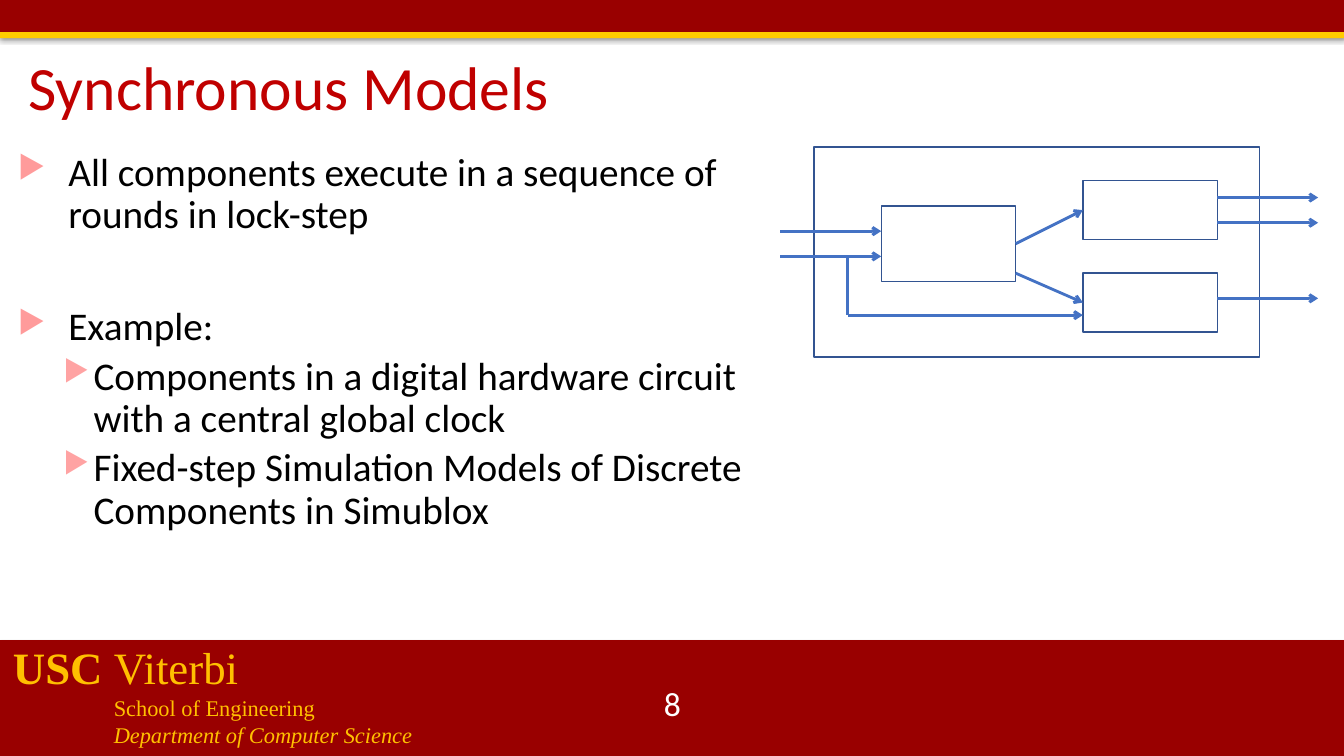
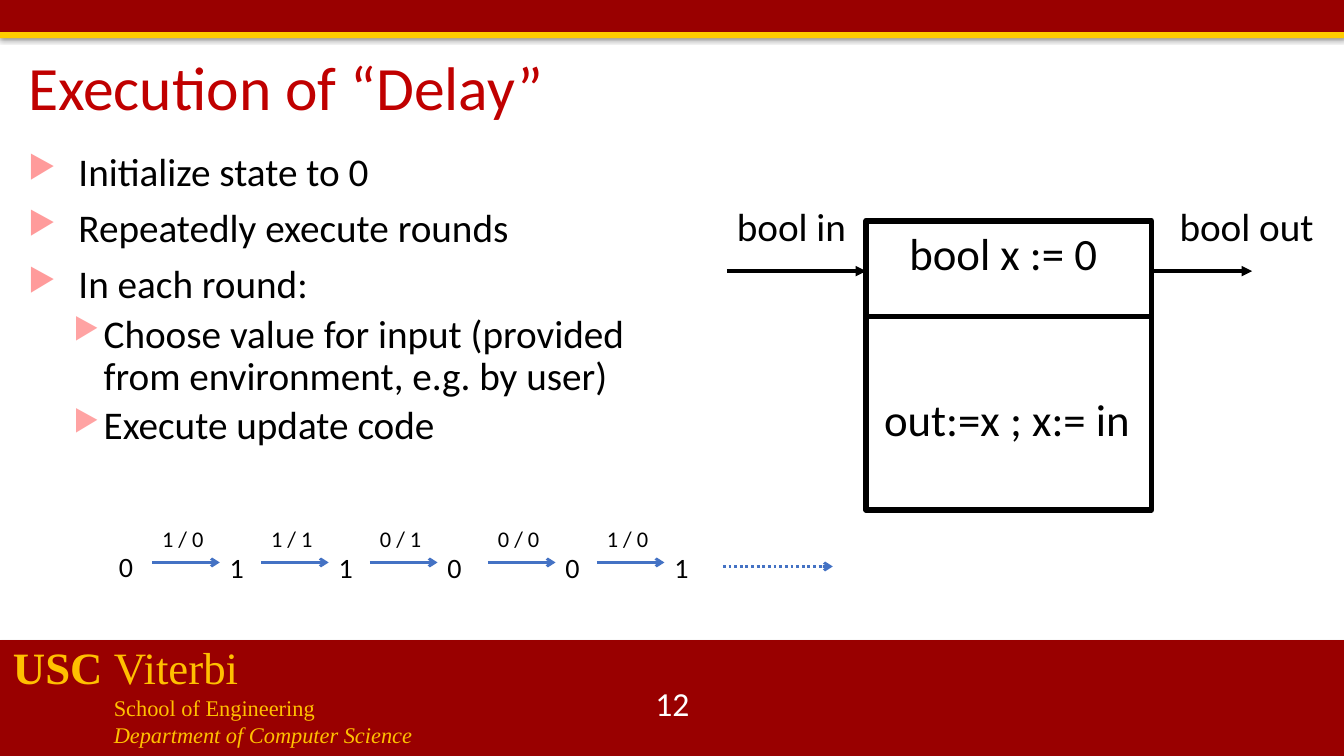
import pptx
import pptx.dml.color
import pptx.enum.dml
import pptx.enum.shapes
import pptx.enum.text
import pptx.oxml
import pptx.oxml.ns
import pptx.util
from lxml import etree

inch = pptx.util.Inches
point = pptx.util.Pt
rgb = pptx.dml.color.RGBColor.from_string
qn = pptx.oxml.ns.qn
ALIGN = pptx.enum.text.PP_ALIGN
ANCHOR = pptx.enum.text.MSO_ANCHOR
FIT = pptx.enum.text.MSO_AUTO_SIZE
RECTANGLE = pptx.enum.shapes.MSO_SHAPE.RECTANGLE
STRAIGHT = pptx.enum.shapes.MSO_CONNECTOR.STRAIGHT

WIDTH, HEIGHT = 13.33, 7.5
CARDINAL, YELLOW, GOLD, RED = "990000", "FFCC00", "FFC000", "C00000"
BLACK, WHITE, BLUE, DARK_BLUE = "000000", "FFFFFF", "4472C4", "325491"
BODY_FONT, SCHOOL_FONT = "Calibri", "Times New Roman"


def add_text(slide, place, lines, size, hue=BLACK, font=BODY_FONT, wrap=False):
    """Add a text box with one paragraph per line and return it."""
    box = slide.shapes.add_textbox(*map(inch, place))
    frame = box.text_frame
    frame.word_wrap = wrap
    frame.auto_size = FIT.NONE if wrap else FIT.SHAPE_TO_FIT_TEXT
    frame.text = "\n".join(lines)
    for paragraph in frame.paragraphs:
        for run in paragraph.runs:
            run.font.name, run.font.size = font, point(size)
            run.font.color.rgb = rgb(hue)
    return box


def add_line(slide, ends, hue=BLUE, weight=2, head="arrow", dash=None):
    """Connect x1, y1 to x2, y2; head is the arrowhead at the far end."""
    connector = slide.shapes.add_connector(STRAIGHT, *map(inch, ends))
    line = connector.line
    line.color.rgb, line.width = rgb(hue), point(weight)
    if dash:
        line.dash_style = dash
    if head:
        outline = connector._element.spPr.find(qn("a:ln"))
        etree.SubElement(outline, qn("a:tailEnd"), type=head)
    etree.SubElement(connector._element.spPr, qn("a:effectLst"))


deck = pptx.Presentation()
deck.slide_width, deck.slide_height = inch(WIDTH), inch(HEIGHT)
layout = deck.slide_layouts[5]

# Titles, slide numbers and bulleted text
BULLETS = [
    {"left": 0.5, "hang": -0.5, "before": 10, "hue": "FF9B9B", "share": 80},
    {"left": 0.75, "hang": -0.3, "before": 5, "hue": "FFA3A3", "share": 75},
]
contents = [
    ("Synchronous Models", "8", (0.08, 1.46, 7.49, 4.69), [
        (0, "All components execute in a sequence of rounds in lock-step"),
        (0, "Example:"),
        (1, "Components in a digital hardware circuit with a central global clock"),
        (1, "Fixed-step Simulation Models of Discrete Components in Simublox"),
    ]),
    ("Execution of “Delay”", "12", (0.18, 1.46, 6.75, 3.32), [
        (0, "Initialize state to 0"),
        (0, "Repeatedly execute rounds"),
        (0, "In each round:"),
        (1, "Choose value for input (provided from environment, e.g. by user)"),
        (1, "Execute update code"),
    ]),
]
for heading, number, body_place, points in contents:
    slide = deck.slides.add_slide(layout)
    title = slide.shapes.title
    title.left, title.top, title.width, title.height = map(inch, (0.18, 0.47, 11.94, 0.85))
    title.text_frame.text = heading
    title.text_frame.auto_size = FIT.NONE
    title.text_frame.vertical_anchor = ANCHOR.MIDDLE
    line = title.text_frame.paragraphs[0]
    line.alignment, line.line_spacing = ALIGN.LEFT, 0.9
    heading_font = line.runs[0].font
    heading_font.name, heading_font.size = BODY_FONT, point(44)
    heading_font.color.rgb = rgb(RED)

    page = add_text(slide, (5.17, 6.78, 3, 0.4), [number], 24, WHITE, wrap=True)
    page.text_frame.vertical_anchor = ANCHOR.MIDDLE
    page.text_frame.paragraphs[0].alignment = ALIGN.CENTER

    body = add_text(slide, body_place, [text for _, text in points], 28, wrap=True)
    for index, paragraph in enumerate(body.text_frame.paragraphs):
        level = points[index][0]
        bullet = BULLETS[level]
        paragraph.level, paragraph.line_spacing = level, 0.9
        paragraph.space_before = point(bullet["before"] if index else 0)
        properties = paragraph._p.get_or_add_pPr()
        properties.set("marL", str(inch(bullet["left"])))
        properties.set("indent", str(inch(bullet["hang"])))
        tint = etree.SubElement(properties, qn("a:buClr"))
        etree.SubElement(tint, qn("a:srgbClr"), val=bullet["hue"])
        etree.SubElement(properties, qn("a:buSzPct"), val=str(bullet["share"] * 1000))
        etree.SubElement(properties, qn("a:buChar"), char="▶")

models, delay = deck.slides
example = next(shape for shape in models.shapes if shape.has_text_frame
               and "Example:" in shape.text_frame.text).text_frame.paragraphs[1]
example.space_before = point(50)

# Bands and school name, kept on the layout
shared = []
bands = [
    ((0, 6.35, WIDTH, HEIGHT - 6.35), CARDINAL, 1.8, 35),
    ((0, 0, WIDTH, 0.33), CARDINAL, 1.8, 35),
    ((0, 0.32, WIDTH, 0.06), YELLOW, 1.6, 38),
]
for place, hue, distance, opacity in bands:
    band = models.shapes.add_shape(RECTANGLE, *map(inch, place))
    band.fill.solid()
    band.fill.fore_color.rgb = rgb(hue)
    band.line.fill.background()
    band.shadow.inherit = False
    effects = band._element.spPr.find(qn("a:effectLst"))
    shadow = etree.SubElement(effects, qn("a:outerShdw"), blurRad=str(point(3.1)),
                              dist=str(point(distance)), dir="5400000", rotWithShape="0")
    shade = etree.SubElement(shadow, qn("a:srgbClr"), val=BLACK)
    etree.SubElement(shade, qn("a:alpha"), val=str(opacity * 1000))
    shared.append(band)

school = add_text(models, (0.03, 6.3, 6.25, 1.18),
                  ["USC ", "School of Engineering", "Department of Computer Science"],
                  16, GOLD, SCHOOL_FONT, wrap=True)
university, faculty, department = school.text_frame.paragraphs
university.add_run().text = "Viterbi"
for run, bold in zip(university.runs, (True, False)):
    run.font.name, run.font.size, run.font.bold = SCHOOL_FONT, point(32), bold
    run.font.color.rgb = rgb(GOLD)
for paragraph in (faculty, department):
    paragraph._p.get_or_add_pPr().set("marL", str(inch(1)))
department.runs[0].font.italic = True
shared.append(school)
for identifier, part in enumerate(shared, start=101):
    part._element.nvSpPr.cNvPr.set("id", str(identifier))
    layout.shapes.element.append(part._element)

# Component diagram on a grid of columns and rows
LEFT, TOP, COLUMN, ROW = 7.74, 1.46, 1 / 3, 1 / 12
components = [(3, 7, 4, 9), (9, 4, 4, 7), (9, 15, 4, 7), (1, 0, 13.25, 25)]
outlines = [
    (models, (LEFT + x * COLUMN, TOP + y * ROW, w * COLUMN, h * ROW), DARK_BLUE, 1)
    for x, y, w, h in components
]
outlines.append((delay, (8.59, 2.19, 2.83, 2.87), BLACK, 4))
for slide, place, hue, weight in outlines:
    outline = slide.shapes.add_shape(RECTANGLE, *map(inch, place))
    outline.fill.background()
    outline.line.color.rgb, outline.line.width = rgb(hue), point(weight)
    outline.shadow.inherit = False

wires = [
    (7, 11.5, 9, 7.5), (7, 15, 9, 18.5),
    (13, 6, 16, 6), (13, 9, 16, 9), (13, 18, 16, 18),
    (0, 10, 3, 10), (0, 13, 3, 13), (2, 20, 9, 20), (2, 13, 2, 20),
]
for x1, y1, x2, y2 in wires:
    add_line(models, (LEFT + x1 * COLUMN, TOP + y1 * ROW, LEFT + x2 * COLUMN, TOP + y2 * ROW),
             head=None if x1 == x2 else "arrow")

# Delay component
for start, end in ((7.21, 8.59), (11.42, 12.42)):
    add_line(delay, (start, 2.69, end, 2.69), BLACK, 2.5, "triangle")
add_line(delay, (8.59, 3.14, 11.42, 3.14), BLACK, 4, None)
for place, text, size in [
    ((7.21, 1.96, 1.3, 0.57), "bool in", 28),
    ((11.6, 1.96, 1.55, 0.57), "bool out", 28),
    ((8.92, 2.19, 2.09, 0.64), "bool x := 0", 32),
    ((8.67, 3.84, 2.67, 0.64), "out:=x ; x:= in", 32),
]:
    add_text(delay, place, [text], size)

# Execution trace: input / output above each arrow, next state after it
STEP, ARROW, TRACE_TOP = 1.08, 0.67, 5.16
add_text(delay, (1.08, 5.4, 0.34, 0.44), ["0"], 20)
rounds = [("1 / 0", "1"), ("1 / 1", "1"), ("0 / 1", "0"), ("0 / 0", "0"), ("1 / 0", "1")]
for index, (exchange, state) in enumerate(rounds):
    start = 1.51 + index * STEP + (0.09 if index > 2 else 0)
    add_text(delay, (start, TRACE_TOP, 0.62, 0.37), [exchange], 16)
    add_line(delay, (start, TRACE_TOP + 0.42, start + ARROW, TRACE_TOP + 0.42))
    add_text(delay, (start + ARROW, TRACE_TOP + 0.25, 0.34, 0.44), [state], 20)
add_line(delay, (7.17, 5.62, 8.26, 5.62), dash=pptx.enum.dml.MSO_LINE.ROUND_DOT)

deck.save("out.pptx")
